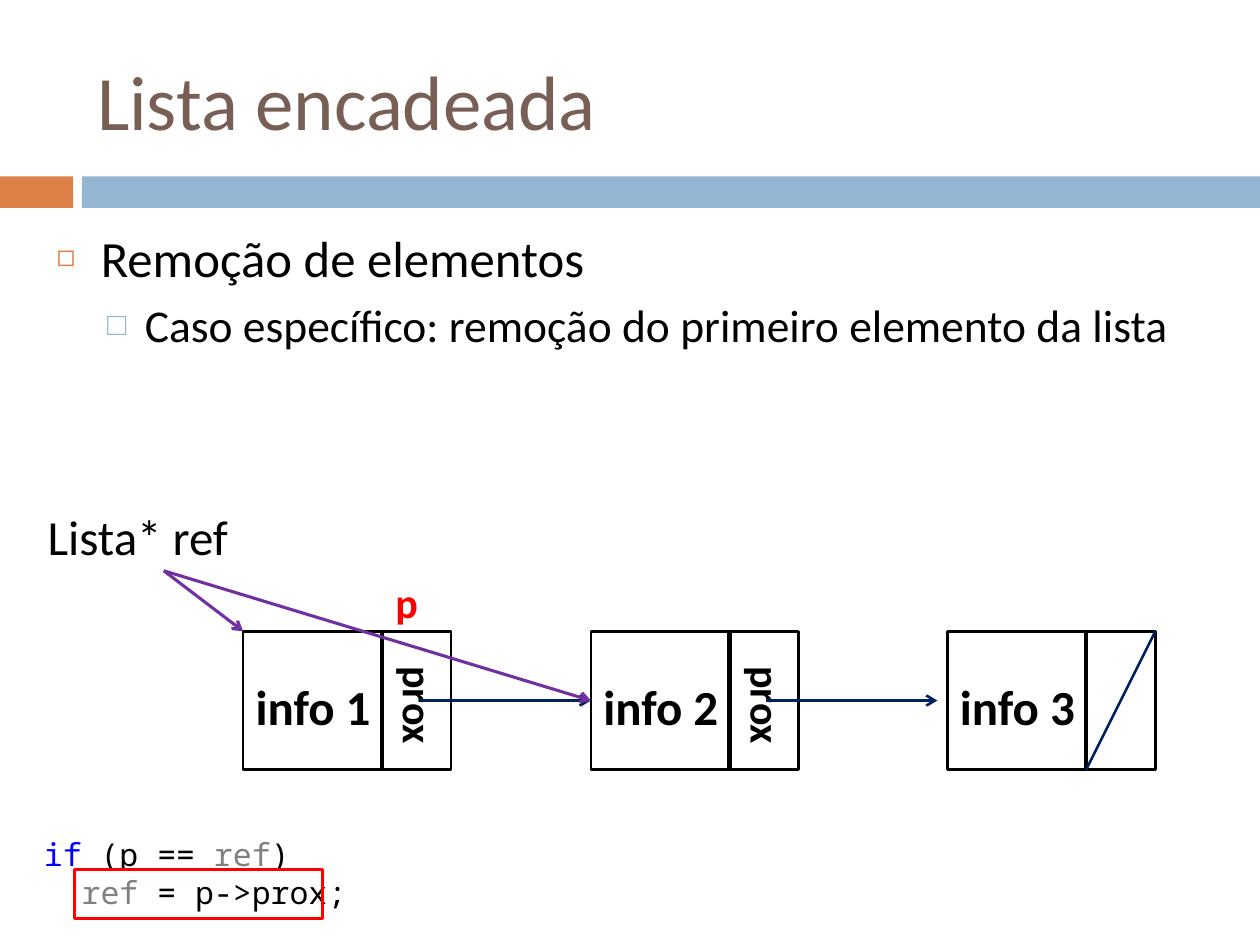
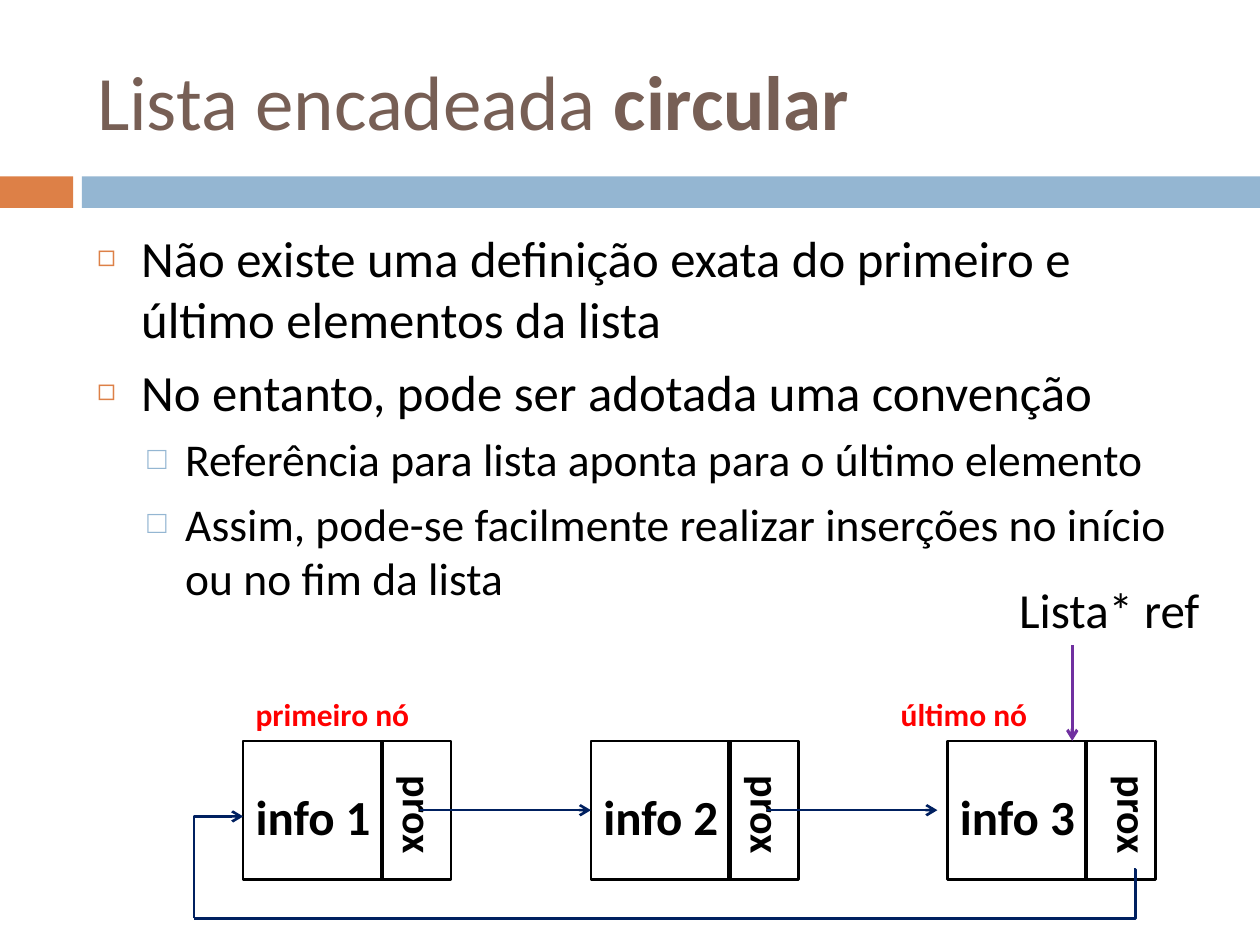
from lxml import etree
from pptx import Presentation
from pptx.dml.color import RGBColor
from pptx.enum.shapes import MSO_CONNECTOR, MSO_SHAPE
from pptx.enum.text import MSO_ANCHOR, MSO_AUTO_SIZE, PP_ALIGN
from pptx.oxml.ns import qn
from pptx.util import Inches, Pt

RECT = MSO_SHAPE.RECTANGLE
LINE, ELBOW = MSO_CONNECTOR.STRAIGHT, MSO_CONNECTOR.ELBOW
TOP, MIDDLE = MSO_ANCHOR.TOP, MSO_ANCHOR.MIDDLE
GROW, FIXED = MSO_AUTO_SIZE.SHAPE_TO_FIT_TEXT, MSO_AUTO_SIZE.NONE
LEFT = PP_ALIGN.LEFT

COLORS = {
    "orange": "DD8047", "blue": "94B6D2", "brown": "775F55",
    "black": "000000", "white": "FFFFFF", "navy": "002060",
    "purple": "7030A0", "red": "FF0000", "key": "0000FF", "gray": "808080",
}
SANS, MONO = "Calibri", "Noto Sans Mono"

# Per list level: size, space before, left edge, hang, mark, colour, mark size
LEVELS = [
    (29, 7, 0.35, 0.35, "◻", "orange", 60),
    (26, 5.5, 0.7, 0.3, "□", "blue", 70),
]

# Node geometry
NODE_W, NODE_H, INFO_W = 1.65, 1.1, 1.1
NODES = [1.93, 4.69, 7.52]
TIPS = [4.69, 7.44]


def rgb(name):
    return RGBColor.from_string(COLORS[name])


def child(parent, tag, **attrs):
    return etree.SubElement(parent, qn(tag), attrs)


def add_run(para, text, size, color="black", bold=False, face=SANS):
    run = para.add_run()
    run.text = text
    font = run.font
    font.size, font.name, font.bold = Pt(size), face, bold
    font.color.rgb = rgb(color)
    return run


def add_rect(slide, box, fill=None, line=None):
    rect = slide.shapes.add_shape(RECT, *map(Inches, box))
    rect.shadow.inherit = False
    if fill:
        rect.fill.solid()
        rect.fill.fore_color.rgb = rgb(fill)
    else:
        rect.fill.background()
    if line:
        rect.line.color.rgb = rgb(line)
        rect.line.width = Pt(1.5)
    else:
        rect.line.fill.background()


def add_line(slide, start, end, color="navy", width=1.5, arrow=False, bend=None):
    """Straight line, or an elbow whose upright sits at bend (1/100000 of width)."""
    kind = LINE if bend is None else ELBOW
    link = slide.shapes.add_connector(kind, *map(Inches, start + end))
    link.line.color.rgb = rgb(color)
    link.line.width = Pt(width)
    props = link._element.spPr
    if arrow:
        child(props.find(qn("a:ln")), "a:tailEnd", type="arrow")
    if bend is not None:
        child(props.find(".//" + qn("a:avLst")), "a:gd",
              name="adj1", fmla=f"val {bend}")
    child(props, "a:effectLst")


def add_box(slide, box, wrap=True):
    shape = slide.shapes.add_textbox(*map(Inches, box))
    shape.text_frame.word_wrap = wrap
    shape.text_frame.auto_size = GROW
    return shape


def add_label(slide, box, text, size, color="black", bold=True, wrap=True, turn=0):
    shape = add_box(slide, box, wrap)
    shape.rotation = turn
    add_run(shape.text_frame.paragraphs[0], text, size, color, bold)


def fit(holder, box, anchor):
    """Move a placeholder and return its text frame."""
    holder.left, holder.top, holder.width, holder.height = map(Inches, box)
    frame = holder.text_frame
    frame.word_wrap, frame.auto_size = True, FIXED
    frame.vertical_anchor = anchor
    return frame


def add_base(deck, title):
    """Slide with the two bands and the title."""
    slide = deck.slides.add_slide(deck.slide_layouts[1])
    add_rect(slide, (0, 1.4, 0.58, 0.25), "orange")
    add_rect(slide, (0.65, 1.4, 9.35, 0.25), "blue")
    para = fit(slide.shapes.title, (0.67, 0.25, 8.92, 1.08), MIDDLE).paragraphs[0]
    para.alignment = LEFT
    for text, bold in title:
        add_run(para, text, 44, "brown", bold)
    return slide


def add_list(slide, box, items):
    frame = fit(slide.placeholders[1], box, TOP)
    for i, (level, text) in enumerate(items):
        size, before, left, hang, mark, color, scale = LEVELS[level]
        para = frame.add_paragraph() if i else frame.paragraphs[0]
        para.level, para.space_before = level, Pt(before)
        props = para._p.get_or_add_pPr()
        props.set("marL", str(Inches(left)))
        props.set("indent", str(-Inches(hang)))
        child(child(props, "a:buClr"), "a:srgbClr", val=COLORS[color])
        child(props, "a:buSzPct", val=str(scale * 1000))
        child(props, "a:buChar", char=mark)
        add_run(para, text, size)


def add_node(slide, x, y, text):
    add_rect(slide, (x, y, NODE_W, NODE_H), line="black")
    add_line(slide, (x + INFO_W, y), (x + INFO_W, y + NODE_H), "black", 2.5)
    add_label(slide, (x, y + 0.31, 1.4, 0.57), text, 28)


def add_prox(slide, x, y):
    add_label(slide, (x, y + 0.35, 0.84, 0.5), "prox", 24, turn=90)


def add_chain(slide, y):
    """Three nodes; the first two point to the next one."""
    for i, x in enumerate(NODES):
        add_node(slide, x, y, f"info {i + 1}")
    mid = y + NODE_H / 2
    for x, tip in zip(NODES, TIPS):
        add_prox(slide, x + 0.98, y)
        add_line(slide, (x + 1.4, mid), (tip, mid), arrow=True)


def add_ref(slide, x, y):
    add_label(slide, (x, y, 1.63, 0.57), "Lista* ref", 28, bold=False, wrap=False)


def add_code(slide, box, lines):
    frame = add_box(slide, box).text_frame
    for i, parts in enumerate(lines):
        para = frame.add_paragraph() if i else frame.paragraphs[0]
        for text, color in parts:
            run = add_run(para, text, 18, color, face=MONO)
            fill = run._r.rPr.find(qn("a:solidFill"))
            mark = etree.Element(qn("a:highlight"))
            child(mark, "a:srgbClr", val=COLORS["white"])
            fill.addnext(mark)


def add_removal(deck):
    slide = add_base(deck, [("Lista encadeada", False)])
    add_list(slide, (0.35, 1.75, 9.23, 5.46), [
        (0, "Remoção de elementos"),
        (1, "Caso específico: remoção do primeiro elemento da lista"),
    ])
    y = 5.01
    add_chain(slide, y)
    # Null mark in the last node
    last = NODES[-1]
    add_line(slide, (last + INFO_W, y + NODE_H), (last + NODE_W, y))
    # Reference before and after the removal
    add_ref(slide, 0.28, 3.97)
    add_label(slide, (3.04, 4.53, 1.09, 0.5), "p", 24, "red")
    for tip in ((NODES[0], y), (NODES[1], y + NODE_H / 2)):
        add_line(slide, (1.3, 4.53), tip, "purple", 1.75, True)
    # Code with its marked line
    add_code(slide, (0.25, 6.58, 5, 0.71), [
        [("if", "key"), (" (p == ", "black"), ("ref", "gray"), (")", "black")],
        [("  ref", "gray"), (" = p->prox;", "black")],
    ])
    add_rect(slide, (0.59, 6.9, 1.97, 0.39), line="red")


def add_circle(deck):
    slide = add_base(deck, [("Lista encadeada ", False), ("circular", True)])
    add_list(slide, (0.67, 1.75, 8.92, 4.92), [
        (0, "Não existe uma definição exata do primeiro e último elementos da lista"),
        (0, "No entanto, pode ser adotada uma convenção"),
        (1, "Referência para lista aponta para o último elemento"),
        (1, "Assim, pode-se facilmente realizar inserções no início ou no fim da lista"),
    ])
    y = 5.88
    add_chain(slide, y)
    add_prox(slide, NODES[-1] + 1.06, y)
    # Reference to the last node
    add_ref(slide, 7.99, 4.55)
    add_line(slide, (8.51, 5.12), (8.51, y), "purple", 1.75, True)
    # Way back to the first node
    turn = (1.54, 7.29)
    add_line(slide, (9, 6.9), turn, bend=-200)
    add_line(slide, turn, (NODES[0], 6.48), arrow=True, bend=0)
    for x, text in ((7.05, "último nó"), (NODES[0], "primeiro nó")):
        add_label(slide, (x, 5.47, 1.67, 0.4), text, 18, "red")


def main():
    deck = Presentation()
    deck.slide_width, deck.slide_height = Inches(10), Inches(7.5)
    add_removal(deck)
    add_circle(deck)
    deck.save("out.pptx")


if __name__ == "__main__":
    main()
